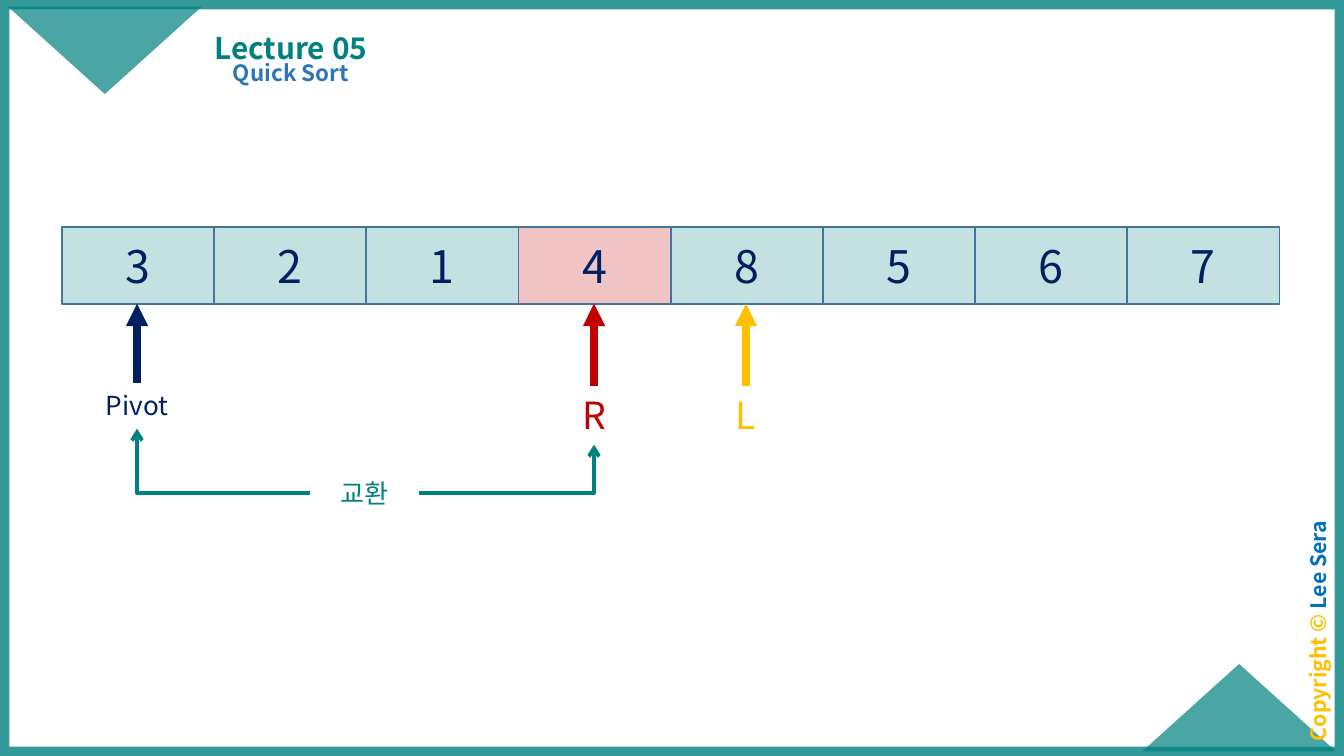
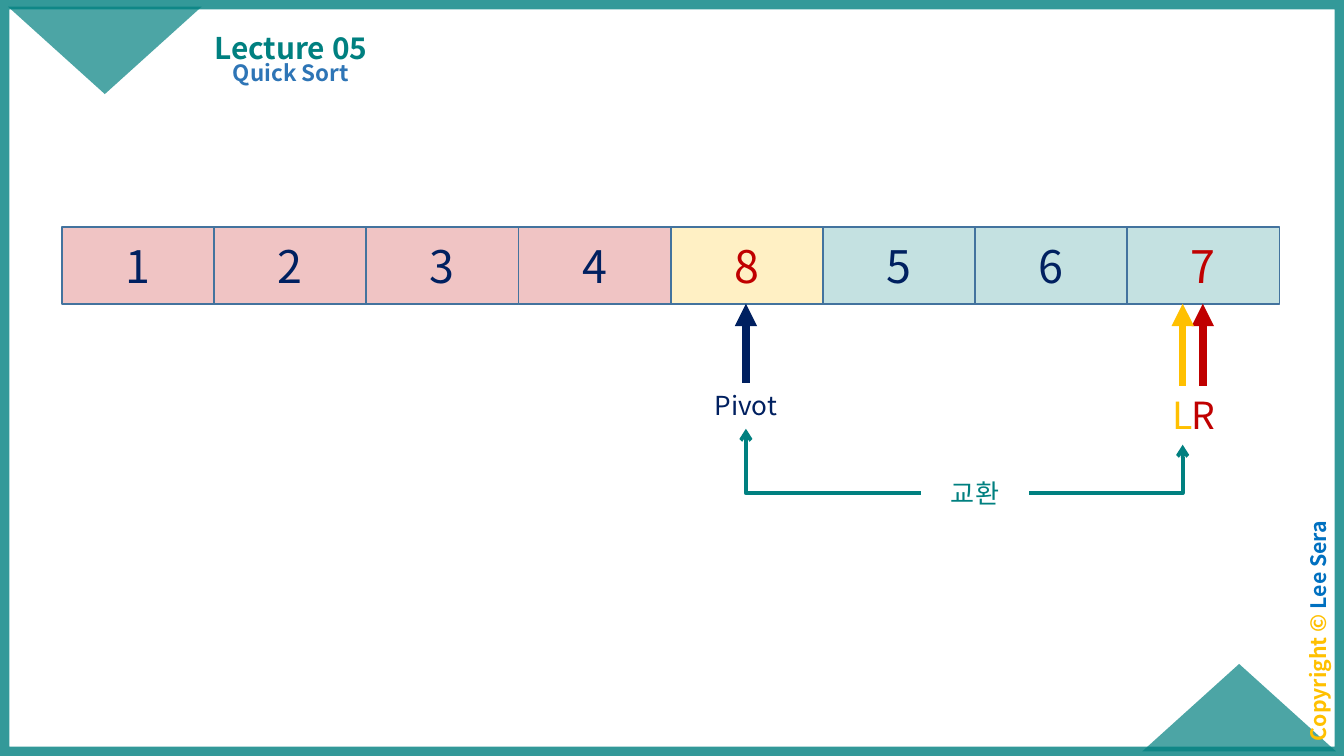
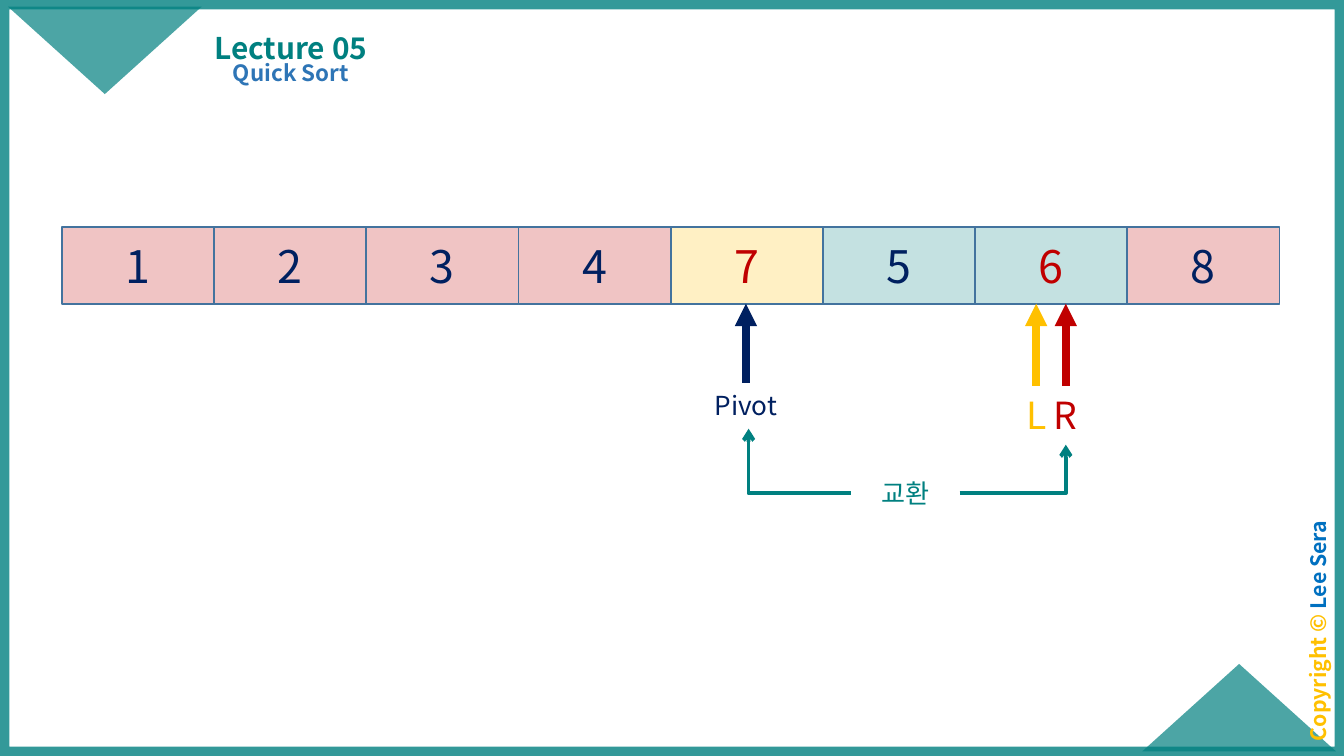
import lxml.etree
import pptx
import pptx.dml.color
import pptx.enum.shapes
import pptx.enum.text
import pptx.oxml.ns
import pptx.util

Inches = pptx.util.Inches
Pt = pptx.util.Pt
qn = pptx.oxml.ns.qn
SHAPE = pptx.enum.shapes.MSO_SHAPE
CONNECTOR = pptx.enum.shapes.MSO_CONNECTOR
ANCHOR = pptx.enum.text.MSO_ANCHOR
CENTER = pptx.enum.text.PP_ALIGN.CENTER

FONT = "Noto Sans CJK KR"
TEAL, NAVY, RED, YELLOW = "008080", "002060", "C00000", "FFC000"
CELL_LINE, SUBTITLE, AUTHOR = "43739E", "2E75B6", "0070C0"

SLIDE_W = 10
SLIDE_H = SLIDE_W * 9 / 16
ROW = (0.46, 1.69, 9.06, 0.57)
ROW_BOTTOM = ROW[1] + ROW[3]
SWAP_Y = 3.67
INSETS = {"margin_left": Inches(0.07), "margin_right": Inches(0.07),
          "margin_top": Inches(0.04), "margin_bottom": Inches(0.04)}
GROW = {"auto_size": pptx.enum.text.MSO_AUTO_SIZE.SHAPE_TO_FIT_TEXT}

# Cell states: waiting, sorted, pivot
STATE_FILLS = {"w": TEAL, "s": RED, "p": YELLOW}
# Marker label: colour, text size, arrow length, label height
MARKERS = {"Pivot": (NAVY, 14, 0.59, 0.34),
           "L": (YELLOW, 20, 0.61, 0.44),
           "R": (RED, 20, 0.61, 0.44)}

# Markers give the x of each arrow; swap gives pivot x, label left and target x
STEPS = [
    {"values": "32148567", "states": "wwwswwww", "hot": (),
     "markers": {"Pivot": 1.02, "L": 5.55, "R": 4.42},
     "swap": (1.02, 2.31, 4.42)},
    {"values": "12348567", "states": "sssspwww", "hot": (4, 7),
     "markers": {"Pivot": 5.55, "R": 8.95, "L": 8.8},
     "swap": (5.55, 6.85, 8.8)},
    {"values": "12347568", "states": "sssspwws", "hot": (4, 6),
     "markers": {"Pivot": 5.55, "R": 7.93, "L": 7.71},
     "swap": (5.57, 6.33, 7.93)},
]


def paint(color_format, color, alpha=100):
    """Set a colour and its opacity in percent."""
    color_format.rgb = pptx.dml.color.RGBColor.from_string(color)
    if alpha < 100:
        clr = color_format._xFill.find(qn("a:srgbClr"))
        lxml.etree.SubElement(clr, qn("a:alpha"), val=str(alpha * 1000))


def apply(target, formats):
    for name, value in formats.items():
        setattr(target, name, value)


def write(sp, runs, size, bold=False, frame=None, para=None):
    """Fill a shape with one centred paragraph of (text, colour) runs."""
    tf = sp.text_frame
    apply(tf, {"word_wrap": True, **(frame or {})})
    p = tf.paragraphs[0]
    apply(p, {"alignment": CENTER, **(para or {})})
    for text, color in runs:
        r = p.add_run()
        r.text = text
        apply(r.font, {"name": FONT, "size": Pt(size), "bold": bold})
        paint(r.font.color, color)
        lxml.etree.SubElement(r._r.rPr, qn("a:ea"), typeface=FONT)


def add_text(shapes, box, runs, size, **formats):
    sp = shapes.add_textbox(*map(Inches, box))
    write(sp, runs, size, **formats)
    return sp


def add_shape(shapes, kind, box, fill=None, line=None):
    """Fill is (colour, opacity); line is (colour, width, opacity)."""
    sp = shapes.add_shape(kind, *map(Inches, box))
    sp.shadow.inherit = False
    if fill:
        sp.fill.solid()
        paint(sp.fill.fore_color, *fill)
    else:
        sp.fill.background()
    if line:
        color, width, alpha = line
        sp.line.fill.solid()
        sp.line.width = Pt(width)
        paint(sp.line.fill.fore_color, color, alpha)
    else:
        sp.line.fill.background()
    return sp


def add_arrow(shapes, kind, start, end, color, width, head):
    cxn = shapes.add_connector(kind, *map(Inches, start + end))
    cxn.line.width = Pt(width)
    paint(cxn.line.color, color)
    sp_pr = cxn._element.spPr
    lxml.etree.SubElement(sp_pr.find(qn("a:ln")), qn("a:tailEnd"), type=head)
    lxml.etree.SubElement(sp_pr, qn("a:effectLst"))
    return cxn


def add_bent_arrow(shapes, start, end):
    """Run sideways from start, then up to end."""
    turned = end[0] < start[0]
    if turned:
        start, end = end, start
    cxn = add_arrow(shapes, CONNECTOR.ELBOW, start, end, TEAL, 2, "arrow")
    sp_pr = cxn._element.spPr
    sp_pr.find(qn("a:prstGeom")).set("prst", "bentConnector2")
    if turned:
        sp_pr.find(qn("a:xfrm")).set("rot", str(180 * 60000))


def add_frame(slide):
    shapes = slide.shapes
    add_shape(shapes, SHAPE.RECTANGLE, (0, 0, SLIDE_W, SLIDE_H),
              line=(TEAL, 10, 80))
    for left, top, rotation in ((8.5, 4.94, 0), (0.06, 0.05, 180)):
        sp = add_shape(shapes, SHAPE.ISOSCELES_TRIANGLE,
                       (left, top, 1.44, 0.65), fill=(TEAL, 70))
        sp.rotation = rotation
    sp = add_text(shapes, (8.92, 4.57, 1.86, 0.25),
                  [("Copyright © ", YELLOW), ("Lee Sera", AUTHOR)], 11.4,
                  bold=True, frame=INSETS,
                  para={"line_spacing": 0.7, "space_before": Pt(10)})
    sp.rotation = 270


def add_titles(slide, title, subtitle):
    add_text(slide.shapes, (1.4, 0.06, 1.53, 0.47), [(title, TEAL)], 16,
             bold=True, para={"line_spacing": 0.9},
             frame={**INSETS, "vertical_anchor": ANCHOR.BOTTOM})
    add_text(slide.shapes, (1.1, 0.42, 2.13, 0.34), [(subtitle, SUBTITLE)], 12,
             bold=True, frame=INSETS,
             para={"line_spacing": 0.9, "space_before": Pt(7.5)})


def add_array(slide, box, values, states, hot):
    """Draw the cells; those listed in hot have red digits."""
    left, top, width, height = box
    cell_w = width / len(values)
    for i, (value, state) in enumerate(zip(values, states)):
        sp = add_shape(slide.shapes, SHAPE.RECTANGLE,
                       (left + i * cell_w, top, cell_w, height),
                       fill=(STATE_FILLS[state], 23), line=(CELL_LINE, 1, 100))
        write(sp, [(value, RED if i in hot else NAVY)], 24,
              frame={"vertical_anchor": ANCHOR.MIDDLE})


def add_marker(slide, label, x, top):
    color, size, length, height = MARKERS[label]
    shapes = slide.shapes.add_group_shape().shapes
    base = top + length
    add_arrow(shapes, CONNECTOR.STRAIGHT, (x, base), (x, top),
              color, 4, "triangle")
    add_text(shapes, (x - 0.51, base, 1.02, height), [(label, color)], size,
             frame=GROW)


def add_swap(slide, pivot_x, label_x, target_x, y):
    label_w, label_h = 0.81, 0.34
    shapes = slide.shapes.add_group_shape().shapes
    add_bent_arrow(shapes, (label_x, y), (pivot_x, y - 0.48))
    add_text(shapes, (label_x, y - label_h / 2, label_w, label_h),
             [("교환", TEAL)], 14, frame=GROW)
    add_bent_arrow(shapes, (label_x + label_w, y), (target_x, y - 0.36))


def add_step(prs, step):
    slide = prs.slides.add_slide(prs.slide_layouts[6])
    add_frame(slide)
    add_titles(slide, "Lecture 05", "Quick Sort")
    add_array(slide, ROW, step["values"], step["states"], step["hot"])
    for label, x in step["markers"].items():
        add_marker(slide, label, x, ROW_BOTTOM)
    add_swap(slide, *step["swap"], SWAP_Y)


def main():
    prs = pptx.Presentation()
    prs.slide_width, prs.slide_height = Inches(SLIDE_W), Inches(SLIDE_H)
    for step in STEPS:
        add_step(prs, step)
    prs.save("out.pptx")


if __name__ == "__main__":
    main()
